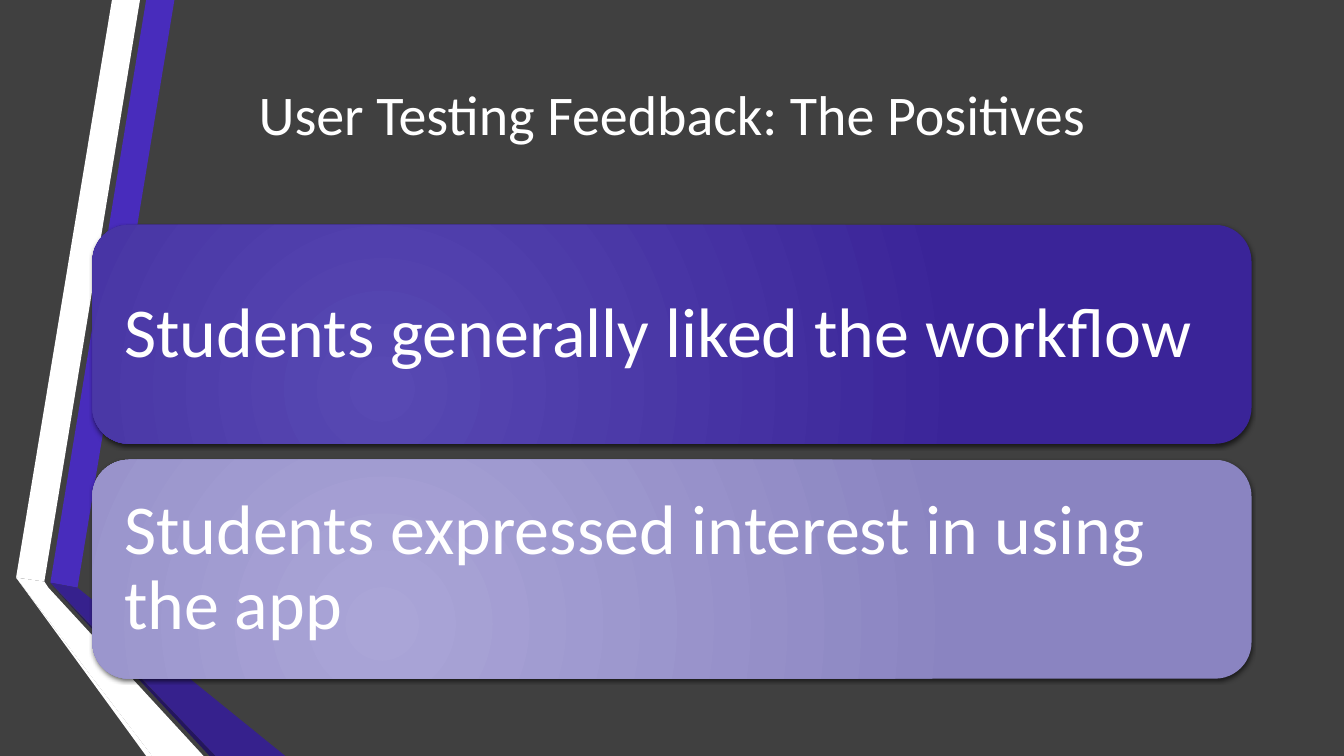
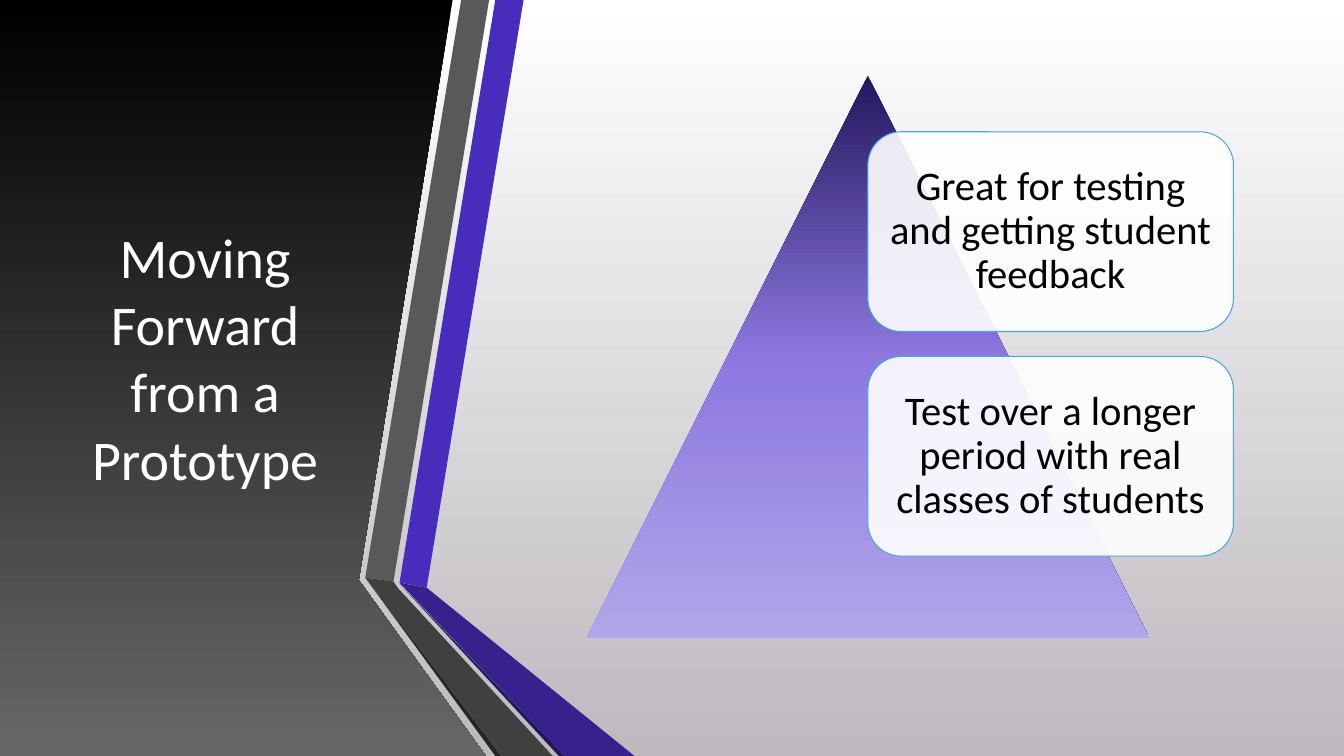
from lxml import etree
from pptx import Presentation
from pptx import util as u
from pptx.dml.color import RGBColor
from pptx.enum import shapes, text
from pptx.oxml import ns

FONT = "Calibri"
WHITE, BLACK = "FFFFFF", "000000"
CHARCOAL, GREY, SHADE = "404040", "595959", "262626"
VIOLET, DEEP_VIOLET, DARK_VIOLET = "482CBC", "36218D", "24165E"
SKY = "45A5ED"
PAGE_WIDTH, PAGE_HEIGHT = 960, 540


def solid(fill, colour):
    """Fill with one hex colour."""
    fill.solid()
    fill.fore_color.rgb = RGBColor.from_string(colour)


def add_node(parent, tag, **attributes):
    """Append a drawing element with the given attributes."""
    node = etree.SubElement(parent, ns.qn(tag))
    for name, value in attributes.items():
        node.set(name, str(value))
    return node


def gradient(fill, owner, stops, focus=None):
    """Fill downwards, or outwards from a focus, through (percent, colour) stops."""
    fill.gradient()
    node = next(owner.element.iter(ns.qn("a:gradFill")))
    for child in list(node):
        node.remove(child)
    stop_list = add_node(node, "a:gsLst")
    for percent, colour in stops:
        stop = add_node(stop_list, "a:gs", pos=percent * 1000)
        add_node(stop, "a:srgbClr", val=colour)
    if focus:
        circle = add_node(node, "a:path", path="circle")
        sides = {side: share * 1000 for side, share in zip("ltrb", focus)}
        add_node(circle, "a:fillToRect", **sides)
    else:
        add_node(node, "a:lin", ang=5400000, scaled=0)


def add_shape(page, kind, box):
    """Add a preset shape without line or shadow."""
    shape = page.shapes.add_shape(kind, *map(u.Pt, box))
    shape.shadow.inherit = False
    shape.line.fill.background()
    return shape


def add_outline(page, points, left=0):
    """Add a closed outline through points shifted by left."""
    corners = [(u.Pt(left + x), u.Pt(y)) for x, y in points]
    builder = page.shapes.build_freeform(*corners[0], scale=1.0)
    builder.add_line_segments(corners[1:], close=True)
    outline = builder.convert_to_shape()
    outline.shadow.inherit = False
    outline.line.fill.background()
    return outline


def write(shape, words, size, colour, align, inset=None, spacing=None):
    """Write one vertically centred paragraph in a shape."""
    frame = shape.text_frame
    frame.word_wrap = True
    frame.vertical_anchor = text.MSO_ANCHOR.MIDDLE
    if inset is not None:
        frame.margin_left = frame.margin_right = u.Pt(inset)
        frame.margin_top = frame.margin_bottom = u.Pt(inset)
    para = frame.paragraphs[0]
    para.text = words
    para.alignment = align
    para.line_spacing = spacing
    para.font.name = FONT
    para.font.size = u.Pt(size)
    para.font.color.rgb = RGBColor.from_string(colour)


def add_title(page, words, box):
    """Add the centred white title."""
    title = page.shapes.add_textbox(*map(u.Pt, box))
    write(title, words, 40, WHITE, text.PP_ALIGN.CENTER)


def add_ribbons(page, left, upper, shade, lower):
    """Draw the two folded ribbons from left, the outer one in three colours."""
    pieces = [
        (VIOLET, [(36, 416.2), (55.4, 419.8), (124.6, 0), (104.4, 0)]),
        (upper, [(100, 0), (80, 0), (11.5, 412.6), (31.7, 415.4)]),
        (shade, [(11.5, 412.6), (104.4, 540), (108.7, 540)]),
        (DARK_VIOLET, [(36, 416.9), (149.8, 540), (154.1, 540)]),
        (DEEP_VIOLET, [(36, 416.2), (154.1, 540), (203.8, 540), (55.4, 419.8)]),
        (lower, [(145.4, 540), (34.6, 419.8), (31.7, 415.4), (11.5, 412.6),
                 (108.7, 540)]),
    ]
    for colour, points in pieces:
        solid(add_outline(page, points, left).fill, colour)


def add_banner(page, words, box, inner, outer):
    """Add a wide rounded banner with a radial glow and a soft shadow."""
    banner = add_shape(page, shapes.MSO_SHAPE.ROUNDED_RECTANGLE, box)
    gradient(banner.fill, banner, [(0, inner), (100, outer)], (50, 100, 100, 50))
    effects = next(banner.element.iter(ns.qn("a:effectLst")))
    shadow = add_node(effects, "a:outerShdw", blurRad=u.Pt(3), dist=u.Pt(1.5),
                      dir=5400000, algn="ctr", rotWithShape=0)
    add_node(add_node(shadow, "a:srgbClr", val=BLACK), "a:alpha", val=64000)
    write(banner, words, 50, WHITE, text.PP_ALIGN.LEFT, 15, 0.9)


def add_card(page, words, box):
    """Add a translucent white card with a thin blue line."""
    card = add_shape(page, shapes.MSO_SHAPE.ROUNDED_RECTANGLE, box)
    solid(card.fill, WHITE)
    add_node(next(card.element.iter(ns.qn("a:srgbClr"))), "a:alpha", val=90000)
    solid(card.line.fill, SKY)
    card.line.width = u.Pt(0.75)
    write(card, words, 29, BLACK, text.PP_ALIGN.CENTER, 8.5, 0.9)


def add_pyramid(page, box, notes):
    """Draw a triangle in the box with cards stacked from its centre line."""
    left, top, width, height = box
    triangle = add_shape(page, shapes.MSO_SHAPE.ISOSCELES_TRIANGLE, box)
    gradient(triangle.fill, triangle,
             [(0, DARK_VIOLET), (50, "8C78DF"), (100, "B2A5EA")])
    card_height = height * 0.355
    for index, words in enumerate(notes):
        card_top = top + height * 0.1 + index * card_height * 1.125
        add_card(page, words,
                 (left + width / 2, card_top, width * 0.65, card_height))


def build_feedback(page):
    """Build the slide of positive feedback."""
    solid(page.background.fill, CHARCOAL)
    add_ribbons(page, 0, WHITE, WHITE, WHITE)
    add_title(page, "User Testing Feedback: The Positives",
              (65.5, 28.8, 828.7, 104.4))
    banners = [
        ("Students generally liked the workflow", "5849B3", "3A2498"),
        ("Students expressed interest in using the app", "AAA5D7", "8A84C1"),
    ]
    for index, (words, inner, outer) in enumerate(banners):
        box = (66, 160.6 + index * 167.8, 828, 156.4)
        add_banner(page, words, box, inner, outer)


def build_next_steps(page):
    """Build the slide on moving past the prototype."""
    gradient(page.background.fill, page, [(0, WHITE), (100, "BDB9BE")])
    panel = add_outline(page, [(0, 0), (323.3, 0), (256.3, 414.4),
                               (347, 540), (0, 540)])
    gradient(panel.fill, panel, [(0, BLACK), (100, "676767")])
    add_ribbons(page, 249.4, GREY, SHADE, CHARCOAL)
    add_title(page, "Moving Forward from a Prototype", (42.5, 54, 208, 401.8))
    add_pyramid(page, (419, 54, 401.8, 401.8), [
        "Great for testing and getting student feedback",
        "Test over a longer period with real classes of students",
    ])


def main():
    """Build and save the deck."""
    deck = Presentation()
    deck.slide_width, deck.slide_height = u.Pt(PAGE_WIDTH), u.Pt(PAGE_HEIGHT)
    for build in (build_feedback, build_next_steps):
        build(deck.slides.add_slide(deck.slide_layouts[6]))
    deck.save("out.pptx")


if __name__ == "__main__":
    main()
